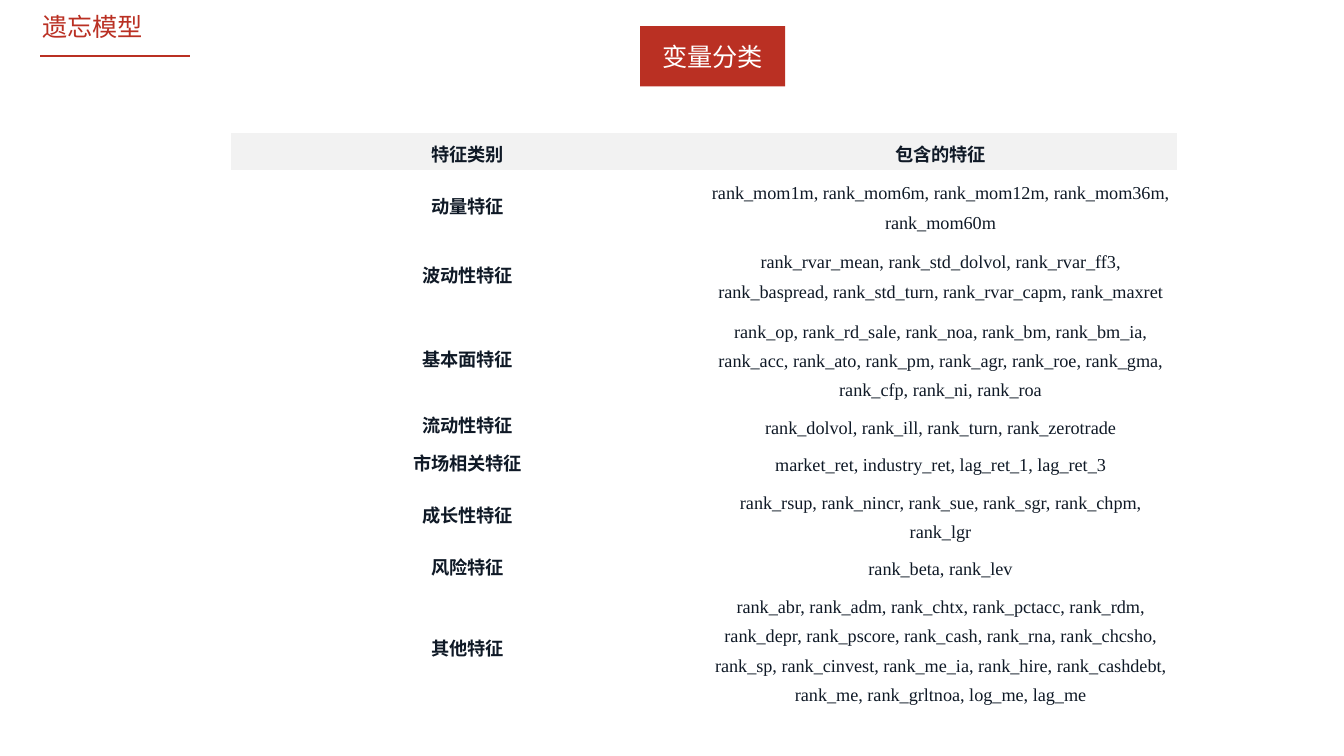
from dataclasses import dataclass

from pptx import Presentation
from pptx.dml.color import RGBColor
from pptx.enum.shapes import MSO_CONNECTOR, MSO_SHAPE
from pptx.enum.text import MSO_ANCHOR, MSO_AUTO_SIZE, PP_ALIGN
from pptx.oxml.ns import qn
from pptx.oxml.xmlchemy import OxmlElement
from pptx.table import _Cell
from pptx.text.text import TextFrame
from pptx.util import Cm, Pt

STRAIGHT = MSO_CONNECTOR.STRAIGHT
RECTANGLE = MSO_SHAPE.RECTANGLE
MIDDLE = MSO_ANCHOR.MIDDLE
NO_FIT = MSO_AUTO_SIZE.NONE
CENTER = PP_ALIGN.CENTER

RED = RGBColor(0xBA, 0x30, 0x23)
WHITE = RGBColor(0xFF, 0xFF, 0xFF)
INK = RGBColor(0x0F, 0x19, 0x26)
HEADER_GRAY = RGBColor(0xF2, 0xF2, 0xF2)

FONT = "Times New Roman"
NO_GRID_STYLE = "{2D5ABB26-0587-4C30-8999-92F81FD0307C}"
TITLE_ONLY = 5
COLUMN_WIDTH = Cm(11.92)


@dataclass
class FeatureRow:
    category: str
    features: str
    height: float
    header: bool = False


ROWS = [
    FeatureRow("特征类别", "包含的特征", 0.76, header=True),
    FeatureRow("动量特征", "rank_mom1m, rank_mom6m, rank_mom12m, rank_mom36m, rank_mom60m", 1.3),
    FeatureRow("波动性特征", "rank_rvar_mean, rank_std_dolvol, rank_rvar_ff3, rank_baspread, "
               "rank_std_turn, rank_rvar_capm, rank_maxret", 1.8),
    FeatureRow("基本面特征", "rank_op, rank_rd_sale, rank_noa, rank_bm, rank_bm_ia, rank_acc, "
               "rank_ato, rank_pm, rank_agr, rank_roe, rank_gma, rank_cfp, rank_ni, rank_roa", 1.8),
    FeatureRow("流动性特征", "rank_dolvol, rank_ill, rank_turn, rank_zerotrade", 0.76),
    FeatureRow("市场相关特征", "market_ret, industry_ret, lag_ret_1, lag_ret_3", 0.76),
    FeatureRow("成长性特征", "rank_rsup, rank_nincr, rank_sue, rank_sgr, rank_chpm, rank_lgr", 1.3),
    FeatureRow("风险特征", "rank_beta, rank_lev", 0.76),
    FeatureRow("其他特征", "rank_abr, rank_adm, rank_chtx, rank_pctacc, rank_rdm, rank_depr, "
               "rank_pscore, rank_cash, rank_rna, rank_chcsho, rank_sp, rank_cinvest, "
               "rank_me_ia, rank_hire, rank_cashdebt, rank_me, rank_grltnoa, log_me, lag_me", 2.87),
]


def add_text(tf: TextFrame, text: str, size: float, color: RGBColor, bold: bool = False) -> None:
    p = tf.paragraphs[0]
    p.alignment = CENTER
    r = p.add_run()
    r.text = text
    r.font.name = FONT
    r.font.size = Pt(size)
    r.font.bold = bold
    r.font.color.rgb = color


def fill_cell(cell: _Cell, text: str, fill: RGBColor, bold: bool) -> None:
    cell.fill.solid()
    cell.fill.fore_color.rgb = fill
    cell.vertical_anchor = MIDDLE
    cell.margin_left = cell.margin_right = Cm(0.18)
    cell.margin_top = cell.margin_bottom = Cm(0.1)
    add_text(cell.text_frame, text, 13, INK, bold)
    cell.text_frame.paragraphs[0].line_spacing = Pt(21)


def main() -> None:
    prs = Presentation()
    prs.slide_width, prs.slide_height = Cm(33.87), Cm(19.05)
    s = prs.slides.add_slide(prs.slide_layouts[TITLE_ONLY])

    title = s.shapes.title
    title.left, title.top, title.width, title.height = Cm(0.5), Cm(-0.1), Cm(3.66), Cm(1.52)
    tf = title.text_frame
    tf.auto_size = NO_FIT
    tf.vertical_anchor = MIDDLE
    add_text(tf, "遗忘模型", 18, RED)

    underline = s.shapes.add_connector(STRAIGHT, Cm(1.02), Cm(1.42), Cm(4.78), Cm(1.42))
    underline.line.color.rgb = RED
    underline.line.width = Pt(1.5)
    underline.element.spPr.append(OxmlElement("a:effectLst"))

    sp = s.shapes.add_shape(RECTANGLE, Cm(16.13), Cm(0.66), Cm(3.66), Cm(1.52))
    sp.shadow.inherit = False
    sp.fill.solid()
    sp.fill.fore_color.rgb = RED
    sp.line.fill.background()
    sp.text_frame.vertical_anchor = MIDDLE
    add_text(sp.text_frame, "变量分类", 18, WHITE)

    height = Cm(sum(row.height for row in ROWS))
    frame = s.shapes.add_table(len(ROWS), 2, Cm(5.82), Cm(3.35), 2 * COLUMN_WIDTH, height)
    for style in frame.element.iter(qn("a:tableStyleId")):
        style.text = NO_GRID_STYLE
    table = frame.table
    table.first_row = table.horz_banding = False
    for column in table.columns:
        column.width = COLUMN_WIDTH
    for i, row in enumerate(ROWS):
        table.rows[i].height = Cm(row.height)
        fill = HEADER_GRAY if row.header else WHITE
        fill_cell(table.cell(i, 0), row.category, fill, True)
        fill_cell(table.cell(i, 1), row.features, fill, row.header)

    prs.save("out.pptx")


if __name__ == "__main__":
    main()
